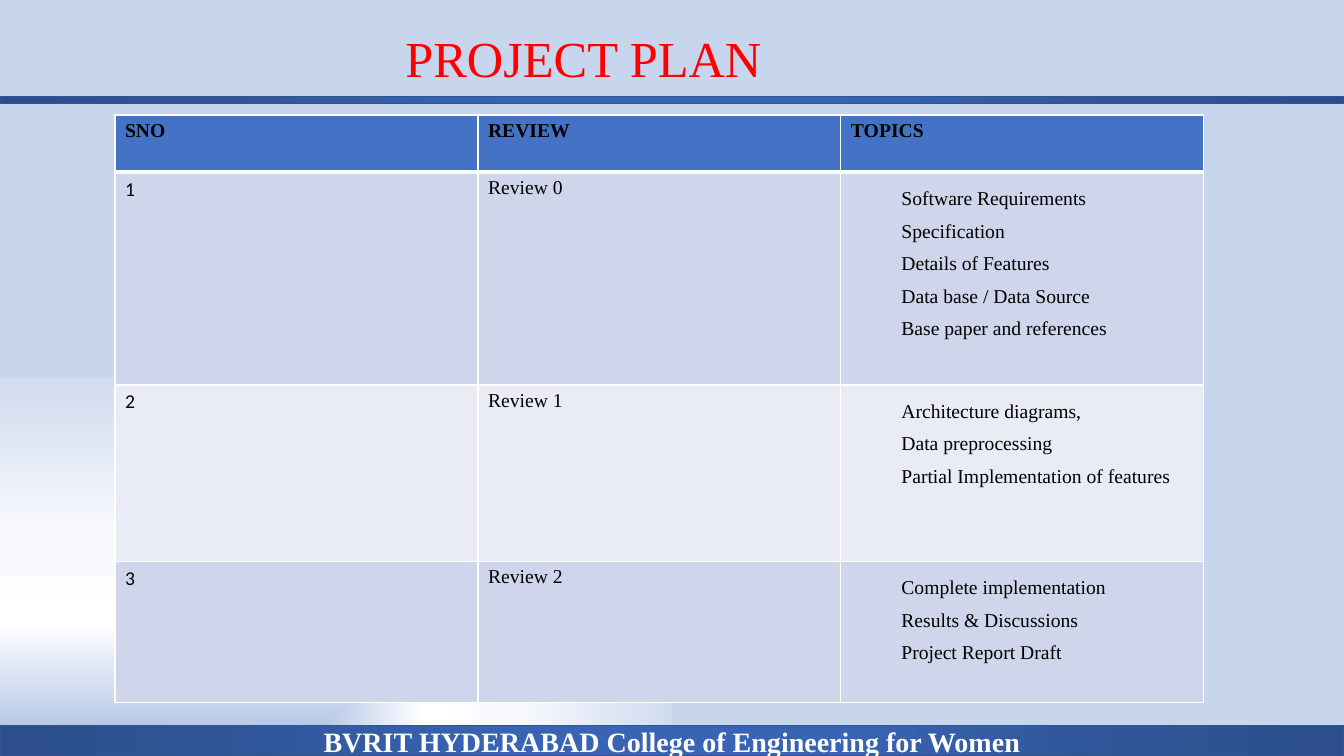
from dataclasses import dataclass

from lxml import etree
from pptx import Presentation
from pptx.dml import color
from pptx.enum import shapes, text
from pptx.oxml import ns
from pptx.util import Inches, Pt


@dataclass(frozen=True)
class Theme:
    serif: str = "Times New Roman"
    sans: str = "Calibri"
    title_size: int = 36
    table_size: int = 14
    footer_size: int = 20
    title: str = "FF0000"
    ink: str = "000000"
    white: str = "FFFFFF"
    header: str = "4472C4"
    bands: tuple = ("CFD5EA", "E9EBF5")
    bar_line: str = "325491"
    bar_stops: tuple = ((0, "3864B3"), (23, "3864B3"), (69, "2F5597"), (97, "2C4F8C"))
    page_stops: tuple = ((6, "BECEEA"), (7, "B5C7E7"), (35, "FFFFFF"), (60, "F6F8FC"),
                         (100, "D1DCF0"), (100, "ABC0E4"), (100, "C7D5ED"))


@dataclass(frozen=True)
class Review:
    number: str
    name: str
    topics: tuple
    height: float


@dataclass(frozen=True)
class Bar:
    top: float
    height: float
    label: str = ""


THEME = Theme()
HEADINGS = ("SNO", "REVIEW", "TOPICS")
HEADER_HEIGHT = 0.57
COLUMN_WIDTH = 3.6
REVIEWS = (
    Review("1", "Review 0", ("Software Requirements Specification", "Details of Features",
                             "Data base / Data Source", "Base paper and references"), 2.11),
    Review("2", "Review 1", ("Architecture diagrams,", "Data preprocessing",
                             "Partial Implementation of features"), 1.75),
    Review("3", "Review 2", ("Complete implementation", "Results & Discussions",
                             "Project Report Draft"), 1.4),
)
BARS = (
    Bar(7.2, 0.3, "BVRIT HYDERABAD College of Engineering for Women"),
    Bar(0.96, 0.07),
)


def write(para, words: str, *, size: int, hue: str = THEME.ink, font: str = THEME.serif,
          bold: bool = False, align=text.PP_ALIGN.LEFT, spacing=None, indent: float = 0) -> None:
    """Fill one paragraph with formatted text."""
    if indent:
        properties = para._p.get_or_add_pPr()
        properties.set("marL", str(Inches(indent)))
        properties.set("indent", "0")
    para.alignment = align
    if spacing:
        para.line_spacing = spacing
    span = para.add_run()
    span.text = words
    span.font.name, span.font.size, span.font.bold = font, Pt(size), bold
    span.font.color.rgb = color.RGBColor.from_string(hue)


def paint_gradient(fill, owner, stops: tuple, path: str, focus: tuple) -> None:
    """Give a fill a path gradient; focus is left, top, right, bottom in percent."""
    fill.gradient()
    gradient = owner.find(".//" + ns.qn("a:gradFill"))
    for child in list(gradient):
        gradient.remove(child)
    stop_list = etree.SubElement(gradient, ns.qn("a:gsLst"))
    for position, hue in stops:
        stop = etree.SubElement(stop_list, ns.qn("a:gs"), pos=str(position * 1000))
        etree.SubElement(stop, ns.qn("a:srgbClr"), val=hue)
    shade = etree.SubElement(gradient, ns.qn("a:path"), path=path)
    edges = {side: str(share * 1000) for side, share in zip("ltrb", focus)}
    etree.SubElement(shade, ns.qn("a:fillToRect"), **edges)


def format_cell(cell, fill: str, top: int = 1, bottom: int = 1) -> None:
    """Set white borders (widths in points) and a solid cell fill."""
    properties = cell._tc.get_or_add_tcPr()
    for side, width in (("L", 1), ("R", 1), ("T", top), ("B", bottom)):
        line = etree.SubElement(properties, ns.qn("a:ln" + side), w=str(Pt(width)))
        paint = etree.SubElement(line, ns.qn("a:solidFill"))
        etree.SubElement(paint, ns.qn("a:srgbClr"), val=THEME.white)
    cell.fill.solid()
    cell.fill.fore_color.rgb = color.RGBColor.from_string(fill)


def add_title(page) -> None:
    title = page.shapes.title
    title.left, title.top = Inches(0.92), Inches(0.4)
    title.width, title.height = Inches(11.5), Inches(0.42)
    frame = title.text_frame
    frame.auto_size = text.MSO_AUTO_SIZE.NONE
    frame.vertical_anchor = text.MSO_ANCHOR.MIDDLE
    frame.margin_left = Inches(3.1)
    write(frame.paragraphs[0], "PROJECT PLAN", size=THEME.title_size, hue=THEME.title,
          spacing=0.9)


def add_plan(page) -> None:
    heights = [HEADER_HEIGHT] + [review.height for review in REVIEWS]
    table = page.shapes.add_table(
        len(heights), len(HEADINGS), Inches(1.14), Inches(1.14),
        Inches(COLUMN_WIDTH * len(HEADINGS)), Inches(sum(heights))).table
    for column in table.columns:
        column.width = Inches(COLUMN_WIDTH)
    for row, height in zip(table.rows, heights):
        row.height = Inches(height)

    # Header row
    for index, heading in enumerate(HEADINGS):
        cell = table.cell(0, index)
        format_cell(cell, THEME.header, bottom=3)
        write(cell.text_frame.paragraphs[0], heading, size=THEME.table_size, bold=True)

    # Review rows
    for row, review in enumerate(REVIEWS, start=1):
        cells = [table.cell(row, index) for index in range(len(HEADINGS))]
        for cell in cells:
            format_cell(cell, THEME.bands[(row - 1) % 2], top=3 if row == 1 else 1)
        number, name, topics = (cell.text_frame for cell in cells)
        write(number.paragraphs[0], review.number, size=THEME.table_size, font=THEME.sans)
        write(name.paragraphs[0], review.name, size=THEME.table_size)
        for index, topic in enumerate(review.topics):
            para = topics.add_paragraph() if index else topics.paragraphs[0]
            write(para, topic, size=THEME.table_size, spacing=1.5, indent=0.5)


def add_bar(page, bar: Bar, width: int) -> None:
    box = page.shapes.add_shape(shapes.MSO_SHAPE.RECTANGLE, 0, Inches(bar.top), width,
                                Inches(bar.height))
    box.shadow.inherit = False
    paint_gradient(box.fill, box.element, THEME.bar_stops, "circle", (50, 50, 50, 50))
    box.line.color.rgb = color.RGBColor.from_string(THEME.bar_line)
    box.line.width = Pt(1)
    if bar.label:
        box.text_frame.vertical_anchor = text.MSO_ANCHOR.MIDDLE
        write(box.text_frame.paragraphs[0], bar.label, size=THEME.footer_size,
              hue=THEME.white, bold=True, align=text.PP_ALIGN.CENTER)


def main() -> None:
    deck = Presentation()
    deck.slide_width, deck.slide_height = Inches(13.33), Inches(7.5)
    page = deck.slides.add_slide(deck.slide_layouts[5])
    paint_gradient(page.background.fill, page.element, THEME.page_stops, "rect",
                   (0, 100, 100, 0))
    add_title(page)
    add_plan(page)
    for bar in BARS:
        add_bar(page, bar, deck.slide_width)
    deck.save("out.pptx")


if __name__ == "__main__":
    main()
